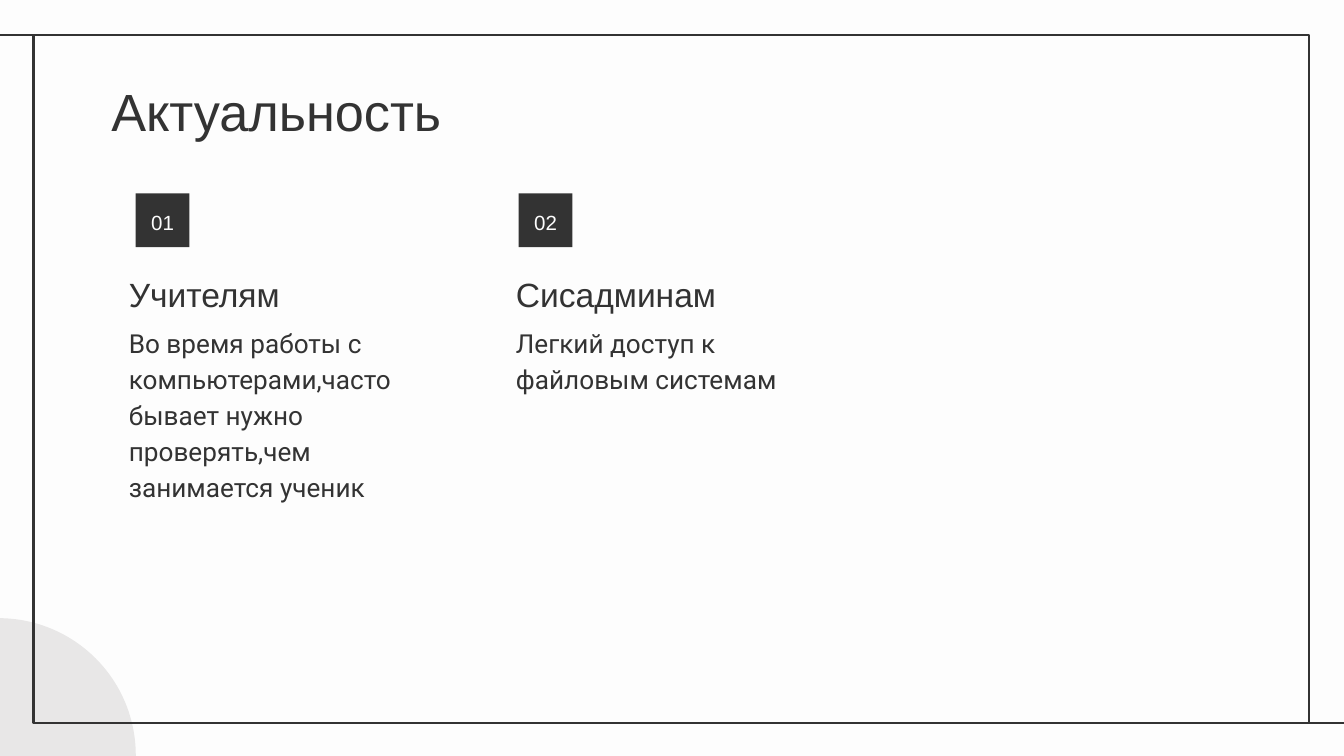
from lxml import etree
from pptx import Presentation
from pptx.dml.color import RGBColor
from pptx.enum.shapes import MSO_CONNECTOR, MSO_SHAPE
from pptx.enum.text import MSO_ANCHOR, PP_ALIGN
from pptx.oxml.ns import qn
from pptx.util import Inches, Pt

RECT, OVAL = MSO_SHAPE.RECTANGLE, MSO_SHAPE.OVAL
LINE = MSO_CONNECTOR.STRAIGHT
TOP, MID, BASE = MSO_ANCHOR.TOP, MSO_ANCHOR.MIDDLE, MSO_ANCHOR.BOTTOM
LEFT, MIDDLE = PP_ALIGN.LEFT, PP_ALIGN.CENTER

COLORS = {"paper": "FDFDFD", "ink": "333333", "disc": "E8E7E7"}

# number, heading, body, text left, badge left
COLUMNS = [
    ("01", "Учителям",
     "Во время работы с компьютерами,часто бывает нужно проверять,чем "
     "занимается ученик", 0.86, 1.01),
    ("02", "Сисадминам", "Легкий доступ к файловым системам", 3.74, 3.86),
]


def color(name):
    return RGBColor.from_string(COLORS[name])


def add_shape(slide, kind, box, fill=None, line=None):
    shape = slide.shapes.add_shape(kind, *map(Inches, box))
    shape.shadow.inherit = False
    if fill:
        shape.fill.solid()
        shape.fill.fore_color.rgb = color(fill)
    else:
        shape.fill.background()
    if line:
        shape.line.color.rgb = color(line)
        shape.line.width = Pt(1.5)
    else:
        shape.line.fill.background()
    return shape


def add_line(slide, start, end):
    line = slide.shapes.add_connector(LINE, *map(Inches, start + end))
    line.line.color.rgb = color("ink")
    line.line.width = Pt(1.5)
    etree.SubElement(line._element.spPr, qn("a:effectLst"))


def set_text(shape, text, size, font="Arial", ink="ink", anchor=TOP,
             align=LEFT, space=1.15):
    frame = shape.text_frame
    frame.word_wrap = True
    frame.vertical_anchor = anchor
    frame.margin_left = frame.margin_right = Inches(0.1)
    frame.margin_top = frame.margin_bottom = Inches(0.1)
    frame.text = text
    para = frame.paragraphs[0]
    para.alignment = align
    para.line_spacing = space
    for run in para.runs:
        run.font.name = font
        run.font.size = Pt(size)
        run.font.color.rgb = color(ink)


def add_text(slide, box, text, size, **style):
    set_text(slide.shapes.add_textbox(*map(Inches, box)), text, size, **style)


def add_frame(slide):
    """Draw the corner disc and the border with its two tails."""
    left, top, width, height = 0.25, 0.26, 9.49, 5.12
    right, bottom = left + width, top + height
    add_shape(slide, OVAL, (-1.03, 4.6, 2.04, 2.04), fill="disc")
    add_shape(slide, RECT, (left, top, width, height), line="ink")
    add_line(slide, (left, top), (-0.02, top))
    add_line(slide, (10.03, bottom), (right, bottom))


def add_column(slide, number, heading, body, left, badge_left):
    add_text(slide, (left, 2.3, 2.52, 0.63), body, 14, font="Roboto")
    badge = add_shape(slide, RECT, (badge_left, 1.44, 0.4, 0.4), fill="ink")
    set_text(badge, number, 11, ink="paper", anchor=MID, align=MIDDLE)
    add_text(slide, (left, 2.02, 2.52, 0.42), heading, 18, anchor=BASE)


def main():
    deck = Presentation()
    deck.slide_width = Inches(10)
    deck.slide_height = deck.slide_width * 9 // 16
    slide = deck.slides.add_slide(deck.slide_layouts[6])
    slide.background.fill.solid()
    slide.background.fill.fore_color.rgb = color("paper")
    add_frame(slide)
    add_text(slide, (0.73, 0.49, 8.43, 0.63), "Актуальность", 28, space=1.0)
    for column in COLUMNS:
        add_column(slide, *column)
    deck.save("out.pptx")


if __name__ == "__main__":
    main()
